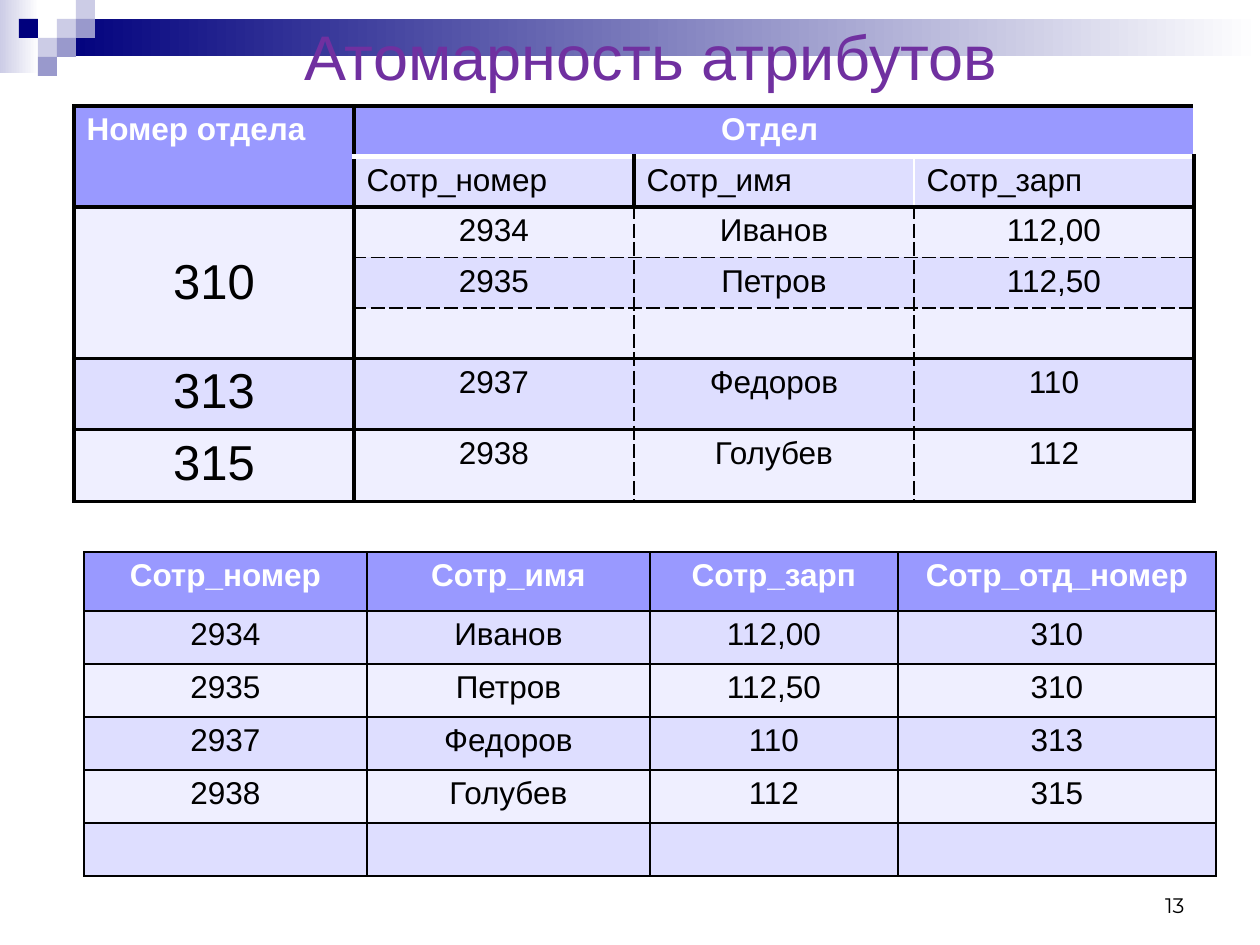
"""Build a slide on attribute atomicity with a nested and a flat table."""
from lxml.etree import SubElement
from pptx import Presentation
from pptx.dml.color import RGBColor
from pptx.enum.shapes import MSO_SHAPE as Shape
from pptx.enum.text import MSO_ANCHOR as Anchor, PP_ALIGN as Align
from pptx.oxml.ns import qn
from pptx.util import Pt

TITLE = "Атомарность атрибутов"
PAGE_NUMBER = "13"
NESTED_ROWS = [
    ["Номер отдела", "Отдел ", "", ""],
    ["", "Сотр_номер", "Сотр_имя", "Сотр_зарп"],
    ["310", "2934", "Иванов", "112,00"],
    ["", "2935", "Петров", "112,50"],
    ["", "", "", ""],
    ["313", "2937", "Федоров", "110"],
    ["315", "2938", "Голубев", "112"],
]
NESTED_MERGES = [((0, 0), (1, 0)), ((0, 1), (0, 3)), ((2, 0), (4, 0))]
FLAT_ROWS = [
    ["Сотр_номер", "Сотр_имя", "Сотр_зарп", "Сотр_отд_номер"],
    ["2934", "Иванов", "112,00", "310"],
    ["2935", "Петров", "112,50", "310"],
    ["2937", "Федоров", "110", "313"],
    ["2938", "Голубев", "112", "315"],
    ["", "", "", ""],
]
GRADIENT_BARS = [((0, 0, 39, 73), "CCCCE6"), ((57, 19, 1203, 37), "00007D")]
MOSAIC = [
    (3, 1, "CCCCE6"), (4, 0, "CCCCE6"), (4, 1, "9999CC"), (2, 2, "CCCCE6"),
    (1, 1, "00007D"), (3, 2, "9999CC"), (2, 3, "9999CC"),
]
TILE = 19
HEADER, BANDS = "9999FF", ("EFEFFF", "DEDEFF")
THICK, THIN, DASHED = ("000000", 2.25, "solid"), ("000000", 1, "solid"), ("000000", 1, "dash")
WHITE_RULE, WHITE_HAIR = ("FFFFFF", 3, "solid"), ("FFFFFF", 1, "solid")


def px(*lengths):
    return [round(length * 914400 / 126) for length in lengths]


def color(value):
    return RGBColor.from_string(value)


def write(frame, text, size, ink, align, bold=False, font="Arial"):
    paragraph = frame.paragraphs[0]
    paragraph.alignment = align
    if not text:
        return
    run = paragraph.add_run()
    run.text = text
    run.font.name, run.font.size, run.font.bold = font, Pt(size), bold
    run.font.color.rgb = color(ink)


def add_label(slide, box, text, size, ink, align, anchor, font="Arial"):
    frame = slide.shapes.add_textbox(*px(*box)).text_frame
    frame.word_wrap = True
    frame.vertical_anchor = anchor
    write(frame, text, size, ink, align, font=font)


def add_block(slide, box, start, end=None):
    block = slide.shapes.add_shape(Shape.RECTANGLE, *px(*box))
    block.shadow.inherit = False
    block.line.fill.background()
    if end is None:
        block.fill.solid()
        block.fill.fore_color.rgb = color(start)
        return
    block.fill.gradient()
    block.fill.gradient_angle = 0
    for stop, shade in zip(block.fill.gradient_stops, (start, end)):
        stop.color.rgb = color(shade)


def set_border(cell, side, style):
    ink, width, dash = style
    line = SubElement(cell._tc.get_or_add_tcPr(), qn("a:ln" + side), w=str(Pt(width)))
    SubElement(SubElement(line, qn("a:solidFill")), qn("a:srgbClr"), val=ink)
    SubElement(line, qn("a:prstDash"), val=dash)


def nested_upright(row, edge):
    if edge in (0, 1, 4):
        return THICK
    if row == 0:
        return None
    if row == 1:
        return THICK if edge == 2 else WHITE_HAIR
    return DASHED


def nested_level(edge, col):
    if edge in (0, 2, 5, 6, 7):
        return THICK
    if col == 0:
        return None
    return WHITE_RULE if edge == 1 else DASHED


def nested_text(row, col):
    header = row == 0
    left = row == 1 or (row, col) == (0, 0)
    return (28 if col == 0 and row > 1 else 18, "FFFFFF" if header else "000000",
            Align.LEFT if left else Align.CENTER, header)


def flat_line(row, col):
    return THIN


def flat_text(row, col):
    header = row == 0
    return 18, "FFFFFF" if header else "000000", Align.CENTER, header


def add_grid(slide, left, top, widths, heights, rows, text_style, upright, level, merges=()):
    box = px(left, top, sum(widths), sum(heights))
    grid = slide.shapes.add_table(len(rows), len(widths), *box).table
    grid.first_row = grid.horz_banding = False
    for column, width in zip(grid.columns, px(*widths)):
        column.width = width
    for line, height in zip(grid.rows, px(*heights)):
        line.height = height
    for first, last in merges:
        grid.cell(*first).merge(grid.cell(*last))
    for r, texts in enumerate(rows):
        for c, text in enumerate(texts):
            cell = grid.cell(r, c)
            sides = {"L": upright(r, c), "R": upright(r, c + 1),
                     "T": level(r, c), "B": level(r + 1, c)}
            for side, style in sides.items():
                if style:
                    set_border(cell, side, style)
            cell.fill.solid()
            cell.fill.fore_color.rgb = color(HEADER if r == 0 else BANDS[r % 2])
            write(cell.text_frame, text, *text_style(r, c))
    return grid


def main():
    deck = Presentation()
    deck.slide_width, deck.slide_height = px(1260, 945)
    slide = deck.slides.add_slide(deck.slide_layouts[6])
    for box, start in GRADIENT_BARS:
        add_block(slide, box, start, "FFFFFF")
    for col, row, shade in MOSAIC:
        add_block(slide, (col * TILE, row * TILE, TILE, TILE), shade)
    add_label(slide, (84, 16, 1134, 79), TITLE, 36, "7030A0", Align.CENTER, Anchor.MIDDLE)
    nested = add_grid(slide, 74, 106, [280] * 4, [48] * 5 + [67] * 2, NESTED_ROWS,
                      nested_text, nested_upright, nested_level, NESTED_MERGES)
    nested.cell(2, 0).vertical_anchor = Anchor.MIDDLE
    add_grid(slide, 84, 552, [283, 283, 248, 318], [59] + [53] * 5, FLAT_ROWS,
             flat_text, flat_line, flat_line)
    add_label(slide, (903, 861, 294, 63), PAGE_NUMBER, 12, "000000", Align.RIGHT,
              Anchor.BOTTOM, "Montserrat")
    deck.save("out.pptx")


if __name__ == "__main__":
    main()
